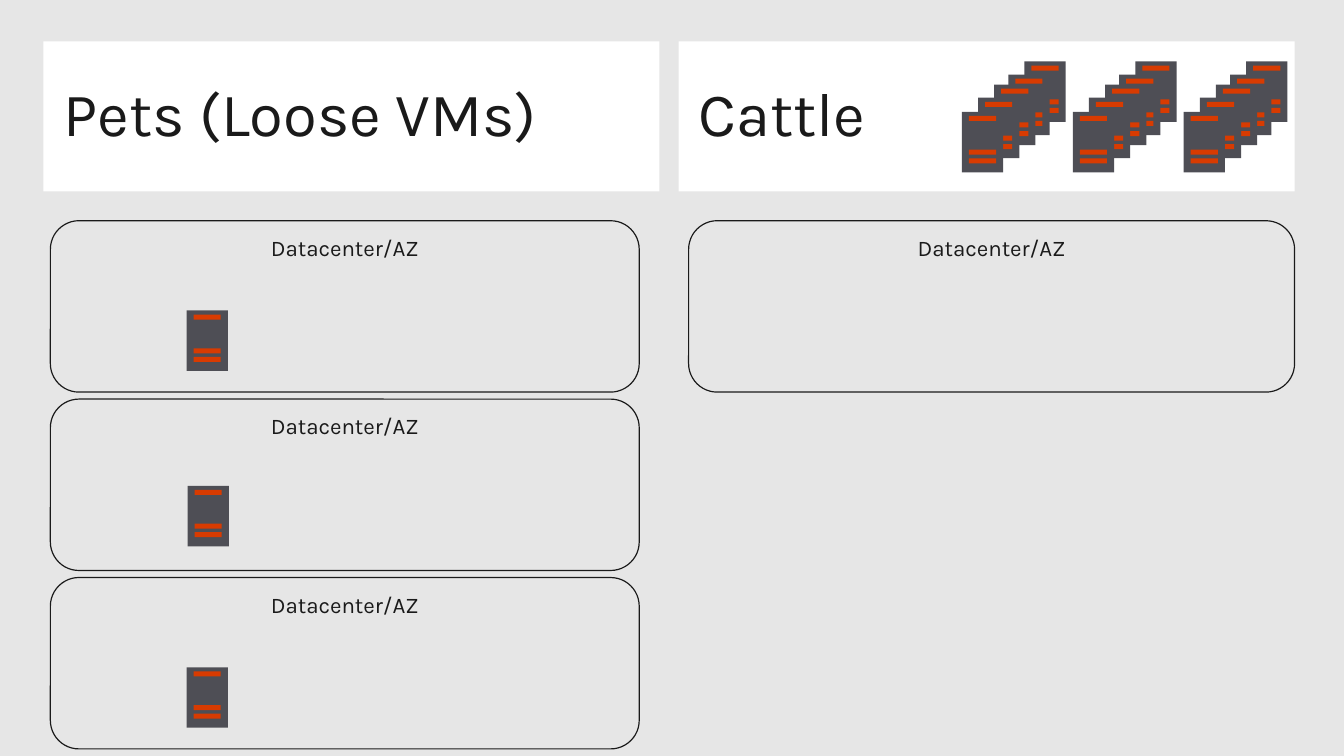
"""Build the slide comparing pets (loose VMs) with cattle across datacenters."""
from dataclasses import dataclass
from typing import Any, NamedTuple

from pptx import Presentation
from pptx.dml import color
from pptx.enum import shapes, text
from pptx.util import Inches, Pt


@dataclass(frozen=True)
class Theme:
    """Colours, type sizes and line width of the slide."""
    background: str = "E6E6E6"
    panel: str = "FFFFFF"
    ink: str = "1A1A1A"
    server: str = "4E4E55"
    stripe: str = "D83B01"
    font: str = "Karla"
    title_size: float = 44
    label_size: float = 16
    outline: float = 0.85


class Box(NamedTuple):
    """Position and size in inches."""
    left: float
    top: float
    width: float
    height: float


@dataclass(frozen=True)
class Caption:
    """Wording and format of a shape's text."""
    wording: str
    size: float
    insets: tuple[float, float]
    anchor: Any
    alignment: Any
    line_spacing: float


class Point(NamedTuple):
    """Offset or position in inches."""
    left: float
    top: float


THEME = Theme()
RECTANGLE = shapes.MSO_SHAPE.RECTANGLE
ROUNDED = shapes.MSO_SHAPE.ROUNDED_RECTANGLE
HEADINGS = {"Pets (Loose VMs)": 0.43, "Cattle": 6.73}
PET_ZONES = [Box(0.5, 2.19 + 1.77 * row, 5.84, 1.7) for row in range(3)]
ZONES = [*PET_ZONES, Box(6.83, 2.19, 6.01, 1.7)]
PETS = [Point(1.86, 4.82), Point(1.85, 6.62), Point(1.85, 3.08)]
HERDS = [Point(9.54 + 1.1 * column, 1.11) for column in (1, 2, 0)]
HERD_OFFSETS = [Point(0.62, -0.5), Point(0.46, -0.37), Point(0.32, -0.27),
                Point(0.16, -0.14), Point(0, 0)]
STRIPE_TOPS = (0.04, 0.375, 0.46)


def apply_format(target: Any, values: dict[str, Any]) -> None:
    """Set each named attribute on the target."""
    for name, value in values.items():
        setattr(target, name, value)


def rgb(value: str) -> color.RGBColor:
    """Turn a hex string into a colour."""
    return color.RGBColor.from_string(value)


def add_box(parent: Any, kind: Any, box: Box, fill: str = "", line: str = "") -> Any:
    """Draw a flat preset shape, filled or outlined."""
    shape = parent.add_shape(kind, *map(Inches, box))
    shape.shadow.inherit = False
    if fill:
        shape.fill.solid()
        shape.fill.fore_color.rgb = rgb(fill)
    else:
        shape.fill.background()
    if line:
        shape.line.color.rgb = rgb(line)
        shape.line.width = Pt(THEME.outline)
    else:
        shape.line.fill.background()
    return shape


def write_caption(shape: Any, caption: Caption) -> None:
    """Write one formatted paragraph into a shape."""
    side, end = map(Inches, caption.insets)
    frame = shape.text_frame
    apply_format(frame, {
        "margin_left": side, "margin_right": side, "margin_top": end,
        "margin_bottom": end, "vertical_anchor": caption.anchor, "word_wrap": True,
    })
    paragraph = frame.paragraphs[0]
    apply_format(paragraph, {
        "alignment": caption.alignment, "line_spacing": caption.line_spacing,
    })
    run = paragraph.add_run()
    run.text = caption.wording
    apply_format(run.font, {"name": THEME.font, "size": Pt(caption.size)})
    run.font.color.rgb = rgb(THEME.ink)


def add_servers(slide: Any, origin: Point, offsets: list[Point]) -> None:
    """Draw a group of servers, each with three stripes, from back to front."""
    group = slide.shapes.add_group_shape()
    for offset in offsets:
        left, top = origin.left + offset.left, origin.top + offset.top
        add_box(group.shapes, RECTANGLE, Box(left, top, 0.41, 0.6), THEME.server)
        for stripe_top in STRIPE_TOPS:
            stripe = Box(left + 0.07, top + stripe_top, 0.27, 0.05)
            add_box(group.shapes, RECTANGLE, stripe, THEME.stripe)


def main() -> None:
    """Build and save the presentation."""
    presentation = Presentation()
    apply_format(presentation, {"slide_width": Inches(13.33), "slide_height": Inches(7.5)})
    slide = presentation.slides.add_slide(presentation.slide_layouts[6])
    slide.background.fill.solid()
    slide.background.fill.fore_color.rgb = rgb(THEME.background)

    for wording, left in HEADINGS.items():
        panel = add_box(slide.shapes, RECTANGLE, Box(left, 0.41, 6.11, 1.49), THEME.panel)
        write_caption(panel, Caption(wording, THEME.title_size, (0.2, 0.16),
                                     text.MSO_ANCHOR.MIDDLE, text.PP_ALIGN.LEFT, 0.9))
    for herd in HERDS:
        add_servers(slide, herd, HERD_OFFSETS)
    for pet in PETS:
        add_servers(slide, pet, [Point(0, 0)])
    zone_label = Caption("Datacenter/AZ", THEME.label_size, (0, 0.05),
                         text.MSO_ANCHOR.TOP, text.PP_ALIGN.CENTER, 1.0)
    for zone in ZONES:
        write_caption(add_box(slide.shapes, ROUNDED, zone, line=THEME.ink), zone_label)
    presentation.save("out.pptx")


if __name__ == "__main__":
    main()
